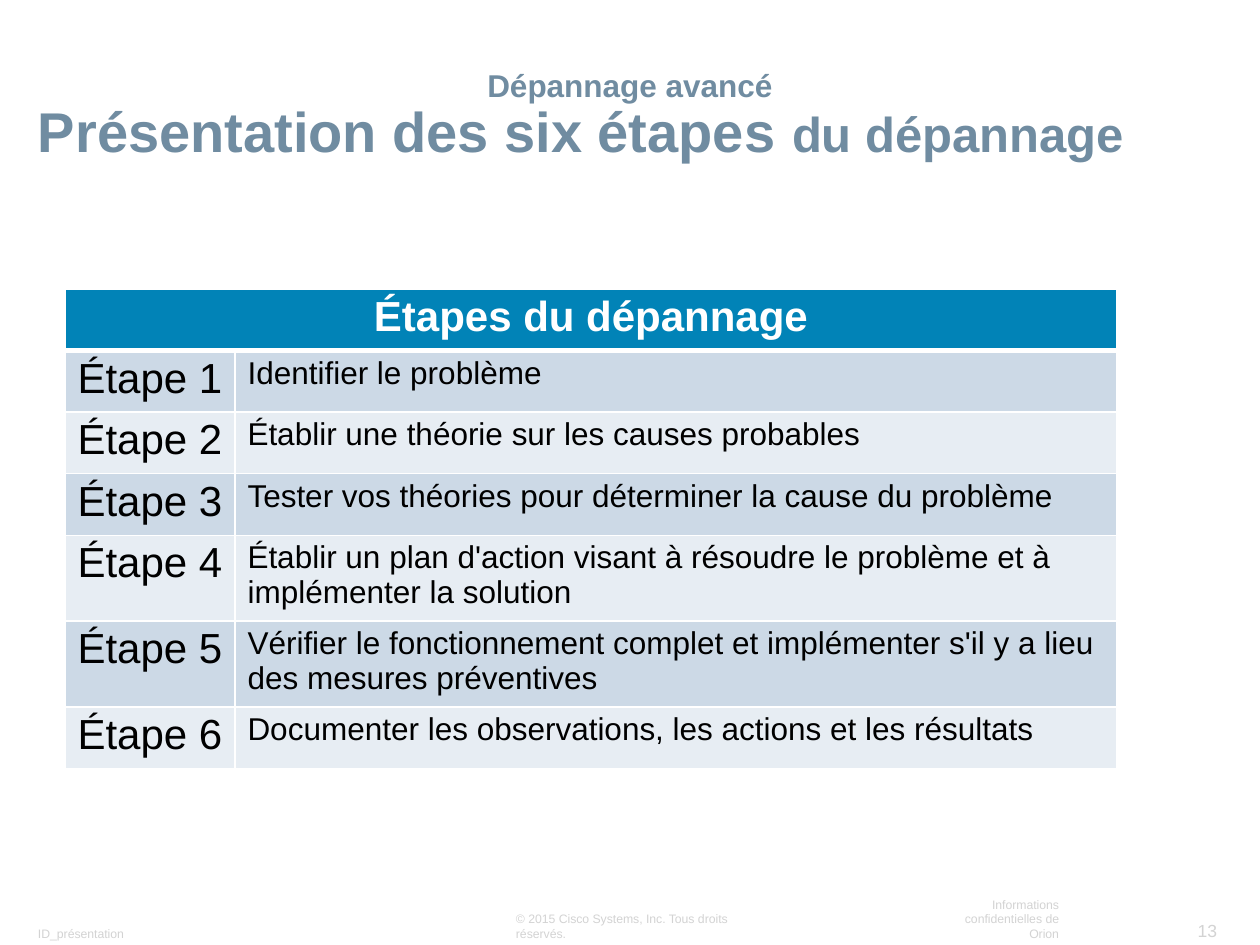
"""Build the slide on the six troubleshooting steps."""
from lxml.etree import SubElement
from pptx import Presentation
from pptx.dml.color import RGBColor
from pptx.enum.text import MSO_ANCHOR as Anchor, PP_ALIGN as Align
from pptx.oxml.ns import qn
from pptx.util import Pt

EMU_PER_PX = 914400 / 126
COLORS = {
    "title": "708CA1",
    "footer": "D3D3D3",
    "header": "0183B7",
    "odd": "CCD9E6",
    "even": "E7EDF3",
    "white": "FFFFFF",
    "black": "000000",
}
STEPS = [
    "Identifier le problème",
    "Établir une théorie sur les causes probables",
    "Tester vos théories pour déterminer la cause du problème",
    "Établir un plan d'action visant à résoudre le problème et à implémenter la solution",
    "Vérifier le fonctionnement complet et implémenter s'il y a lieu des mesures préventives",
    "Documenter les observations, les actions et les résultats",
]
TITLE = [
    (Align.CENTER, [("Dépannage avancé", 18)]),
    (Align.LEFT, [("Présentation des six étapes ", 32), ("du dépannage", 28)]),
]
FOOTERS = [
    ("ID_présentation", 7, Align.LEFT, (26, 920, 132, 26)),
    ("13", 10, Align.RIGHT, (1184, 914, 45, 32)),
    ("© 2015 Cisco Systems, Inc. Tous droits réservés.", 7, Align.LEFT, (504, 920, 278, 26)),
    ("Informations confidentielles de Orion", 7, Align.RIGHT, (950, 920, 121, 26)),
]


def px(value):
    return round(value * EMU_PER_PX)


def rgb(name):
    return RGBColor.from_string(COLORS[name])


class SlideBuilder:
    """Hold the style and the current slide."""

    def __init__(self, page, font="Arial"):
        self.page = page
        self.font = font

    def paragraph(self, para, spans, color, bold, align, spacing):
        para.alignment = align
        para.line_spacing = spacing
        for text, size in spans:
            span = para.add_run()
            span.text = text
            values = {"name": self.font, "size": Pt(size), "bold": bold}
            for name, value in values.items():
                setattr(span.font, name, value)
            span.font.color.rgb = rgb(color)

    def text(self, bounds, paragraphs, color, bold=False, spacing=1.0):
        frame = self.page.shapes.add_textbox(*map(px, bounds)).text_frame
        values = {
            "word_wrap": True,
            "vertical_anchor": Anchor.BOTTOM,
            "margin_left": px(12),
            "margin_right": px(12),
            "margin_top": px(5),
            "margin_bottom": px(5),
        }
        for name, value in values.items():
            setattr(frame, name, value)
        for index, (align, spans) in enumerate(paragraphs):
            para = frame.add_paragraph() if index else frame.paragraphs[0]
            self.paragraph(para, spans, color, bold, align, spacing)

    def borders(self, cell, widths):
        properties = cell._tc.get_or_add_tcPr()
        for side, width in widths.items():
            line = SubElement(properties, qn(f"a:ln{side}"), w=str(Pt(width)))
            fill = SubElement(line, qn("a:solidFill"))
            SubElement(fill, qn("a:srgbClr"), val=COLORS["white"])

    def cell(self, cell, text, size, fill, color="black", bold=False, align=Align.CENTER):
        cell.fill.solid()
        cell.fill.fore_color.rgb = rgb(fill)
        if text:
            self.paragraph(cell.text_frame.paragraphs[0], [(text, size)], color, bold, align, 0.97)

    def table(self, left, top, columns, rows, heading, steps):
        table = self.page.shapes.add_table(
            len(rows), len(columns), px(left), px(top), px(sum(columns)), px(sum(rows))
        ).table
        for column, width in zip(table.columns, columns):
            column.width = px(width)
        for row, height in zip(table.rows, rows):
            row.height = px(height)
        for number, row in enumerate(table.rows):
            widths = {
                "L": 1,
                "R": 1,
                "T": 3 if number == 1 else 1,
                "B": 1 if number else 3,
            }
            for cell in row.cells:
                self.borders(cell, widths)
        first, second = table.rows[0].cells
        first.merge(second)
        self.cell(first, heading, 24, "header", "white", True)
        self.cell(second, "", 24, "header")
        for number, step in enumerate(steps, 1):
            fill = "odd" if number % 2 else "even"
            self.cell(table.cell(number, 0), f"Étape {number}", 24, fill)
            self.cell(table.cell(number, 1), step, 18, fill, align=Align.LEFT)


def main():
    deck = Presentation()
    deck.slide_width, deck.slide_height = px(1260), px(945)
    builder = SlideBuilder(deck.slides.add_slide(deck.slide_layouts[6]))
    for text, size, align, bounds in FOOTERS:
        builder.text(bounds, [(align, [(text, size)])], "footer")
    builder.text((26, 54, 1208, 116), TITLE, "title", True, 0.9)
    builder.table(65, 289, [170, 882], [59, 59, 59, 59, 83, 83, 59], "Étapes du dépannage", STEPS)
    deck.save("out.pptx")


if __name__ == "__main__":
    main()
